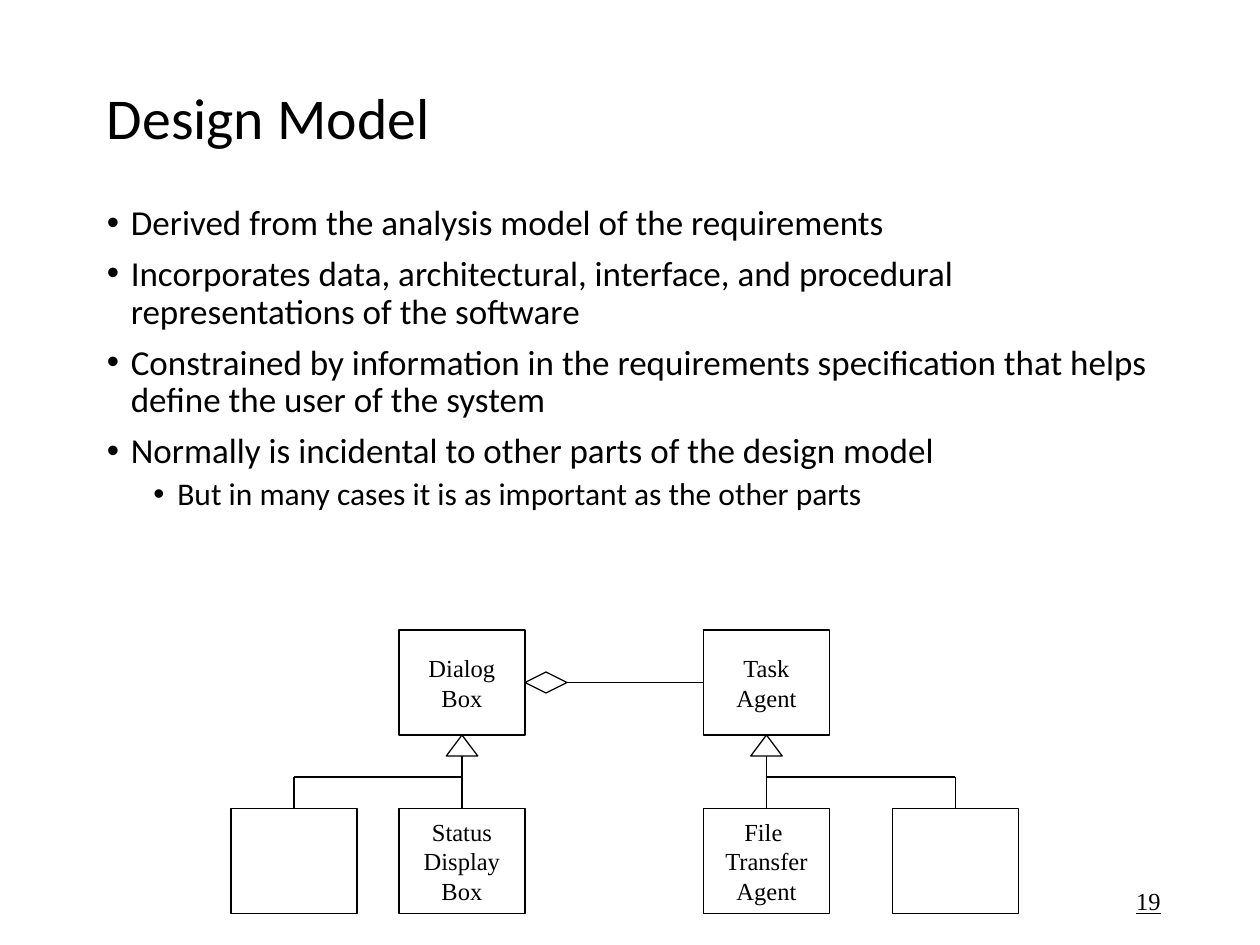
from dataclasses import dataclass
from typing import NamedTuple

from lxml.etree import SubElement
from pptx import Presentation
from pptx.dml.color import RGBColor
from pptx.enum.shapes import MSO_CONNECTOR, MSO_SHAPE
from pptx.enum.text import MSO_ANCHOR, PP_ALIGN
from pptx.oxml.ns import qn
from pptx.util import Inches, Pt


@dataclass(frozen=True)
class Theme:
    ink: RGBColor = RGBColor(0, 0, 0)
    heading_font: str = "Calibri"
    diagram_font: str = "Times New Roman"
    title_size: float = 33
    diagram_size: float = 14
    line_width: float = 0.74
    line_spacing: float = 0.9


class Level(NamedTuple):
    size: float
    space_before: float
    indent: float


class Bullet(NamedTuple):
    text: str
    level: int = 0


class ClassBox(NamedTuple):
    column: float
    row: float
    label: str = ""


class Inheritance(NamedTuple):
    parent_column: float
    sibling_column: float


THEME = Theme()
CELL = Inches(1) / 12
BOX_COLUMNS, BOX_ROWS = 12, 10
PARENT_ROW, CHILD_ROW = 60, 77
DIALOG, TASK = 38, 67
LEFT_CHILD, RIGHT_CHILD = 22, 85
HANGING = 0.19

LEVELS = [Level(20, 7.5, 0.19), Level(18, 3.7, 0.56)]
BULLETS = [
    Bullet("Derived from the analysis model of the requirements"),
    Bullet("Incorporates data, architectural, interface, and procedural "
           "representations of the software"),
    Bullet("Constrained by information in the requirements specification "
           "that helps define the user of the system"),
    Bullet("Normally is incidental to other parts of the design model"),
    Bullet("But in many cases it is as important as the other parts", 1),
]
CLASS_BOXES = [
    ClassBox(DIALOG, PARENT_ROW, "Dialog\nBox"),
    ClassBox(TASK, PARENT_ROW, "Task\nAgent"),
    ClassBox(LEFT_CHILD, CHILD_ROW),
    ClassBox(DIALOG, CHILD_ROW, "Status\nDisplay\nBox"),
    ClassBox(TASK, CHILD_ROW, "File \nTransfer\nAgent"),
    ClassBox(RIGHT_CHILD, CHILD_ROW),
]
INHERITANCES = [Inheritance(DIALOG, LEFT_CHILD), Inheritance(TASK, RIGHT_CHILD)]

presentation = Presentation()
presentation.slide_width, presentation.slide_height = Inches(10), Inches(7.5)
slide = presentation.slides.add_slide(presentation.slide_layouts[6])


def grid(cells: float) -> int:
    return round(cells * CELL)


def style_runs(paragraph, font_name: str, size: float, underline: bool = False) -> None:
    for run in paragraph.runs:
        run.font.name = font_name
        run.font.size = Pt(size)
        run.font.color.rgb = THEME.ink
        if underline:
            run.font.underline = True


def add_text(left: float, top: float, width: float, height: float,
             text: str, anchor: MSO_ANCHOR):
    frame = slide.shapes.add_textbox(
        Inches(left), Inches(top), Inches(width), Inches(height)).text_frame
    frame.word_wrap = True
    frame.vertical_anchor = anchor
    frame.text = text
    return frame


def add_bullet_mark(paragraph, indent: float) -> None:
    properties = paragraph._p.get_or_add_pPr()
    properties.set("marL", str(Inches(indent)))
    properties.set("indent", str(-Inches(HANGING)))
    SubElement(properties, qn("a:buFont")).set("typeface", "Arial")
    SubElement(properties, qn("a:buChar")).set("char", "•")


def add_outline(kind: MSO_SHAPE, column: float, row: float,
                columns: float, rows: float):
    outline = slide.shapes.add_shape(
        kind, grid(column), grid(row), grid(columns), grid(rows))
    outline.shadow.inherit = False
    outline.fill.background()
    outline.line.color.rgb = THEME.ink
    outline.line.width = Pt(THEME.line_width)
    return outline


def add_line(column: float, row: float, end_column: float, end_row: float) -> None:
    line = slide.shapes.add_connector(
        MSO_CONNECTOR.STRAIGHT, grid(column), grid(row), grid(end_column), grid(end_row))
    line.line.color.rgb = THEME.ink
    line.line.width = Pt(THEME.line_width)
    SubElement(line._element.spPr, qn("a:effectLst"))


def add_class_box(box: ClassBox) -> None:
    frame = add_outline(
        MSO_SHAPE.RECTANGLE, box.column, box.row, BOX_COLUMNS, BOX_ROWS).text_frame
    if not box.label:
        return
    frame.word_wrap = False
    frame.vertical_anchor = MSO_ANCHOR.MIDDLE
    frame.text = box.label
    for paragraph in frame.paragraphs:
        paragraph.alignment = PP_ALIGN.CENTER
        style_runs(paragraph, THEME.diagram_font, THEME.diagram_size)


def add_inheritance(link: Inheritance) -> None:
    parent = link.parent_column + BOX_COLUMNS / 2
    sibling = link.sibling_column + BOX_COLUMNS / 2
    triangle_top = PARENT_ROW + BOX_ROWS
    triangle_base = triangle_top + 2
    branch = triangle_base + 2
    add_outline(MSO_SHAPE.ISOSCELES_TRIANGLE, parent - 1.5, triangle_top, 3, 2)
    add_line(parent, triangle_base, parent, CHILD_ROW)
    add_line(parent, branch, sibling, branch)
    add_line(sibling, branch, sibling, CHILD_ROW)


title = add_text(0.75, 0.33, 8.5, 1.25, "Design Model", MSO_ANCHOR.MIDDLE).paragraphs[0]
title.line_spacing = THEME.line_spacing
style_runs(title, THEME.heading_font, THEME.title_size)

body = add_text(0.75, 1.58, 8.5, 4.5,
                "\n".join(bullet.text for bullet in BULLETS), MSO_ANCHOR.TOP)
for paragraph, bullet in zip(body.paragraphs, BULLETS):
    level = LEVELS[bullet.level]
    paragraph.level = bullet.level
    paragraph.line_spacing = THEME.line_spacing
    paragraph.space_before = Pt(level.space_before)
    add_bullet_mark(paragraph, level.indent)
    style_runs(paragraph, THEME.heading_font, level.size)

page_number = add_text(7.06, 6.95, 2.25, 0.4, "19", MSO_ANCHOR.MIDDLE).paragraphs[0]
page_number.alignment = PP_ALIGN.RIGHT
style_runs(page_number, THEME.diagram_font, THEME.diagram_size, underline=True)

for class_box in CLASS_BOXES:
    add_class_box(class_box)
for inheritance in INHERITANCES:
    add_inheritance(inheritance)

dialog_edge = DIALOG + BOX_COLUMNS
association_row = PARENT_ROW + BOX_ROWS / 2
add_outline(MSO_SHAPE.DIAMOND, dialog_edge, association_row - 1, 4, 2)
add_line(dialog_edge + 4, association_row, TASK, association_row)

presentation.save("out.pptx")
